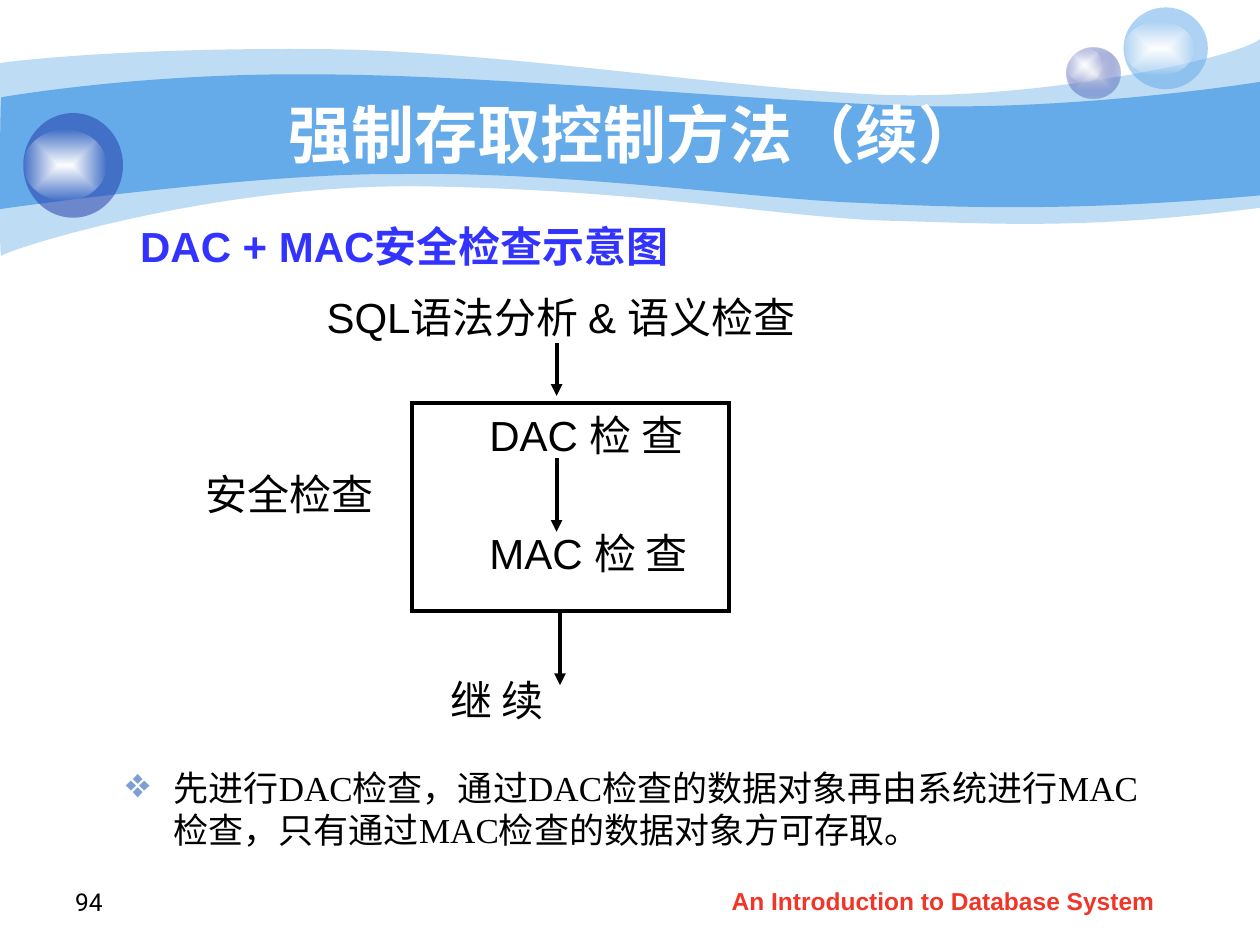
"""Build the slide on combined DAC and MAC security checks."""
from dataclasses import dataclass

from lxml import etree
from pptx import Presentation
from pptx import util as u
from pptx.dml.color import RGBColor
from pptx.enum import shapes, text
from pptx.oxml import parse_xml
from pptx.oxml.ns import nsdecls, qn

COLORS = {
    "sky": "65AAE9", "navy": "233DA9", "mist": "E1E2ED", "white": "FFFFFF",
    "black": "000000", "blue": "3333FF", "red": "F03628", "bullet": "7DA0D3",
}


@dataclass
class Wave:
    top: list
    bottom: list
    color: str
    alpha: int


@dataclass
class Ball:
    box: tuple
    stops: list


@dataclass
class Arrow:
    x: float
    top: float
    bottom: float


@dataclass
class Line:
    wording: str
    indent: float
    before: float = 0
    color: str = "black"
    bold: bool = False


WAVES = [
    Wave([(0, 1.27), (0.61, 1.19), (2.72, 0.97), (6.27, 0.99), (9.8, 0.99),
          (14.61, 1.78), (17.75, 1.91), (20.88, 2.03), (24.89, 1.19), (25.4, 0.79)],
         [(25.4, 4.19), (21.79, 4.65), (19.99, 4.5), (17.91, 4.45), (15.8, 4.39),
          (13.08, 3.84), (8.71, 3.76), (4.37, 3.66), (0.1, 5.05), (0.03, 5.16),
          (-0.03, 5.28), (0, 1.91), (0, 1.27)],
         "sky", 41),
    Wave([(0.03, 1.96), (0.05, 1.96), (2.79, 1.47), (6.3, 1.5), (9.8, 1.5),
          (15.11, 2.03), (18.24, 2.13), (21.36, 2.24), (24.79, 1.75), (25.4, 1.65)],
         [(25.4, 3.94), (21.67, 4.27), (19.43, 4.19), (17.32, 4.09), (15.21, 4.01),
          (11.35, 3.45), (8.05, 3.51), (5.16, 3.48), (-0.05, 4.22), (-0.03, 4.22),
          (0, 4.22), (0, 1.96), (0.03, 1.96)],
         "sky", 100),
]
SHINE = [("white", 100), ("white", 0)]
BALLS = [
    Ball((21.51, 0.97, 1.07, 1.02), [("mist", 100), ("navy", 31)]),
    Ball((21.51, 0.97, 0.71, 0.69), SHINE),
    Ball((22.65, 0.15, 1.7, 1.65), [("sky", 53)]),
    Ball((22.65, 0.43, 1.42, 1.09), SHINE),
    Ball((0.47, 2.28, 2.01, 2.11), [("navy", 53)]),
    Ball((0.47, 2.62, 1.68, 1.42), SHINE),
]
ARROWS = [Arrow(11.29, 12.32, 13.81), Arrow(11.22, 9.24, 10.72), Arrow(11.22, 6.92, 7.98)]
LINES = [
    Line("DAC + MAC安全检查示意图", 1.27, color="blue", bold=True),
    Line("SQL语法分析 & 语义检查", 5.03, 13),
    Line("DAC 检 查", 8.31, 39),
    Line("安全检查", 2.59, 5.8),
    Line("MAC 检 查", 8.31, 5.8),
    Line("继 续", 7.52, 56),
]
RULE = ("先进行DAC检查，通过DAC检查的数据对象再由系统进行"
        "MAC检查，只有通过MAC检查的数据对象方可存取。")


def apply(target: object, **values: object) -> None:
    for name, value in values.items():
        setattr(target, name, value)


def rgb(color: str) -> RGBColor:
    return RGBColor.from_string(COLORS[color])


def box_lengths(box: tuple) -> list:
    return [u.Cm(value) for value in box]


def color_xml(color: str, alpha: int) -> str:
    return f'<a:srgbClr val="{COLORS[color]}"><a:alpha val="{alpha * 1000}"/></a:srgbClr>'


def fill_shape(shape: object, stops: list) -> None:
    shape.shadow.inherit = False
    shape.line.fill.background()
    shape.fill.background()
    if len(stops) == 1:
        xml = f'<a:solidFill {nsdecls("a")}>{color_xml(*stops[0])}</a:solidFill>'
    else:
        marks = "".join(f'<a:gs pos="{index * 100000}">{color_xml(*stop)}</a:gs>'
                        for index, stop in enumerate(stops))
        xml = (f'<a:gradFill {nsdecls("a")} rotWithShape="1"><a:gsLst>{marks}</a:gsLst>'
               '<a:path path="shape"><a:fillToRect l="50000" t="50000" r="50000" b="50000"/>'
               '</a:path></a:gradFill>')
    properties = shape.element.spPr
    properties.replace(properties.find(qn("a:noFill")), parse_xml(xml))


def merge_curves(segments: list) -> None:
    for start in range(0, len(segments), 3):
        first, *others = segments[start:start + 3]
        curve = etree.Element(qn("a:cubicBezTo"))
        first.addprevious(curve)
        for segment in (first, *others):
            curve.append(segment[0])
            segment.getparent().remove(segment)


def draw_wave(slide: object, wave: Wave) -> None:
    outline = [(u.Cm(x), u.Cm(y)) for x, y in wave.top + wave.bottom]
    builder = slide.shapes.build_freeform(*outline[0])
    builder.add_line_segments(outline[1:], close=True)
    shape = builder.convert_to_shape()
    segments = list(shape.element.iter(qn("a:lnTo")))
    edge = len(wave.top) - 1
    merge_curves(segments[:edge])
    merge_curves(segments[edge + 1:edge + len(wave.bottom)])
    fill_shape(shape, [(wave.color, wave.alpha)])


def draw_ball(slide: object, ball: Ball) -> None:
    shape = slide.shapes.add_shape(shapes.MSO_SHAPE.OVAL, *box_lengths(ball.box))
    fill_shape(shape, ball.stops)


def style_line(shape: object, ending: str, **attributes: str) -> None:
    shape.line.color.rgb = rgb("black")
    shape.line.width = u.Pt(2.25)
    etree.SubElement(shape.line._get_or_add_ln(), qn(ending), **attributes)


def draw_arrow(slide: object, arrow: Arrow) -> None:
    connector = slide.shapes.add_connector(
        shapes.MSO_CONNECTOR.STRAIGHT,
        *box_lengths((arrow.x, arrow.top, arrow.x, arrow.bottom)))
    style_line(connector, "a:tailEnd", type="triangle")
    etree.SubElement(connector.element.spPr, qn("a:effectLst"))


def write_paragraph(paragraph: object, wording: str, size: float, font: str,
                    color: str, bold: bool = False) -> None:
    run = paragraph.add_run()
    run.text = wording
    apply(run.font, size=u.Pt(size), name=font, bold=bold)
    run.font.color.rgb = rgb(color)


def indent_paragraph(paragraph: object, margin: float, hanging: float = 0,
                     bullet: str = "") -> None:
    properties = paragraph._p.get_or_add_pPr()
    properties.set("marL", str(u.Cm(margin)))
    properties.set("indent", str(-u.Cm(hanging)))
    if bullet:
        color = etree.SubElement(properties, qn("a:buClr"))
        etree.SubElement(color, qn("a:srgbClr"), val=COLORS["bullet"])
        etree.SubElement(properties, qn("a:buSzPct"), val="120000")
        etree.SubElement(properties, qn("a:buChar"), char=bullet)
    else:
        etree.SubElement(properties, qn("a:buNone"))


def place(shape: object, box: tuple, anchor: object = text.MSO_ANCHOR.TOP) -> object:
    apply(shape, **dict(zip(("left", "top", "width", "height"), box_lengths(box))))
    apply(shape.text_frame, word_wrap=True, auto_size=text.MSO_AUTO_SIZE.NONE,
          vertical_anchor=anchor)
    return shape.text_frame.paragraphs[0]


def add_text(slide: object, box: tuple, anchor: object = text.MSO_ANCHOR.TOP) -> object:
    return place(slide.shapes.add_textbox(*box_lengths(box)), box, anchor)


def write_body(body: object) -> None:
    place(body, (1.3, 4.34, 21.59, 11.43))
    for index, line in enumerate(LINES):
        frame = body.text_frame
        paragraph = frame.add_paragraph() if index else frame.paragraphs[0]
        apply(paragraph, line_spacing=u.Pt(28), space_before=u.Pt(line.before),
              alignment=text.PP_ALIGN.JUSTIFY)
        indent_paragraph(paragraph, line.indent)
        write_paragraph(paragraph, line.wording, 24, "Arial", line.color, line.bold)


def main() -> None:
    presentation = Presentation()
    apply(presentation, slide_width=u.Cm(25.4), slide_height=u.Cm(19.05))
    slide = presentation.slides.add_slide(presentation.slide_layouts[1])
    title, body = slide.placeholders
    for wave in WAVES:
        draw_wave(slide, wave)
    for ball in BALLS:
        draw_ball(slide, ball)
    for placeholder in (title, body):
        slide.shapes.element.append(placeholder.element)

    heading = place(title, (2.54, 1.9, 20.52, 1.57), text.MSO_ANCHOR.MIDDLE)
    heading.alignment = text.PP_ALIGN.CENTER
    write_paragraph(heading, "强制存取控制方法（续）", 36, "Arial", "white", True)
    write_body(body)

    frame = slide.shapes.add_shape(shapes.MSO_SHAPE.RECTANGLE,
                                   *box_lengths((8.31, 8.13, 6.39, 4.19)))
    frame.shadow.inherit = False
    frame.fill.background()
    style_line(frame, "a:miter", lim="800000")
    for arrow in ARROWS:
        draw_arrow(slide, arrow)

    rule = add_text(slide, (2.29, 15.32, 21.01, 1.96))
    indent_paragraph(rule, 0.96, 0.96, "❖")
    write_paragraph(rule, RULE, 20, "Times New Roman", "black")
    footer = add_text(slide, (14.5, 17.73, 10.01, 0.89))
    write_paragraph(footer, "An Introduction to Database System", 14, "Arial", "red", True)
    number = add_text(slide, (0.69, 17.32, 1.63, 1.27), text.MSO_ANCHOR.BOTTOM)
    number.alignment = text.PP_ALIGN.RIGHT
    write_paragraph(number, "94", 14, "Roboto", "black")
    presentation.save("out.pptx")


if __name__ == "__main__":
    main()
